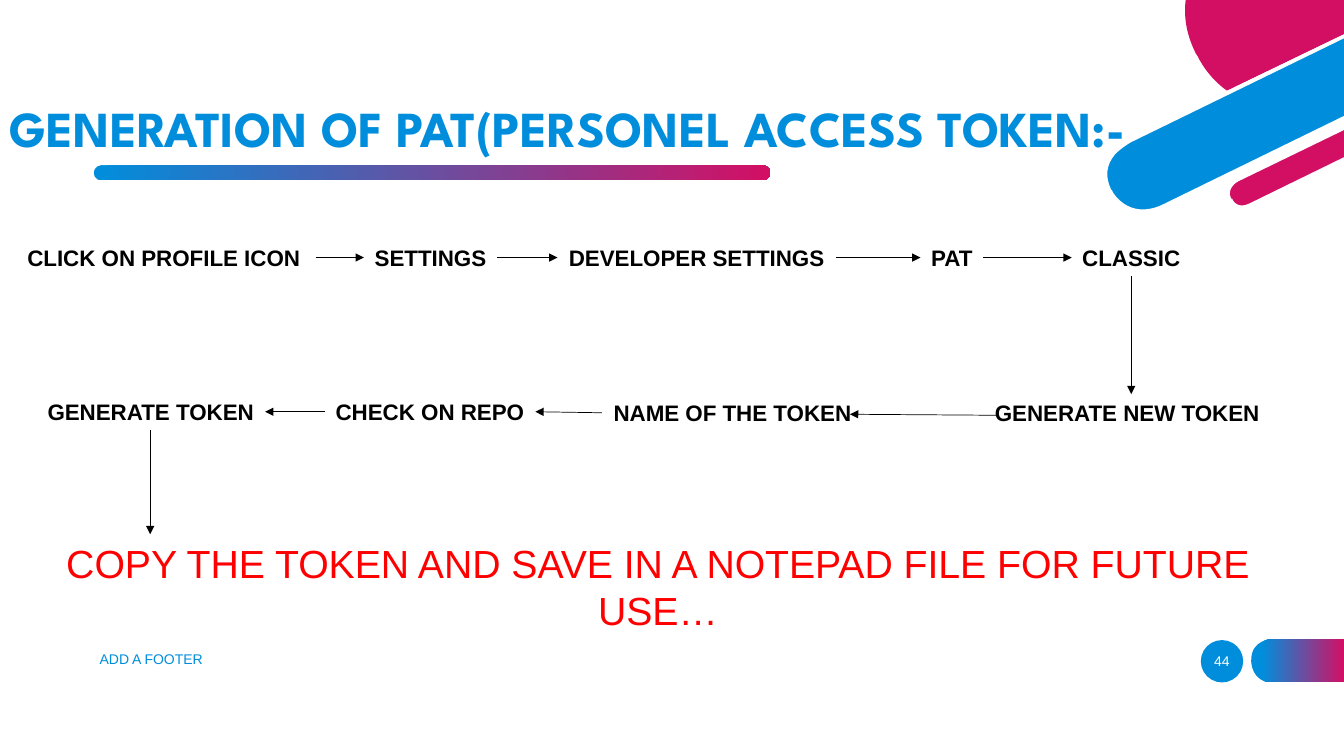
from dataclasses import dataclass

from lxml import etree
from pptx import Presentation
from pptx.dml.color import RGBColor
from pptx.enum.shapes import MSO_CONNECTOR, MSO_SHAPE
from pptx.enum.text import MSO_ANCHOR, MSO_AUTO_SIZE, PP_ALIGN
from pptx.oxml.ns import qn
from pptx.util import Inches, Pt

ELLIPSE = MSO_SHAPE.OVAL
ROUNDED = MSO_SHAPE.ROUNDED_RECTANGLE
STRAIGHT = MSO_CONNECTOR.STRAIGHT
MIDDLE, TOP_ANCHOR = MSO_ANCHOR.MIDDLE, MSO_ANCHOR.TOP
GROW, FIXED = MSO_AUTO_SIZE.SHAPE_TO_FIT_TEXT, MSO_AUTO_SIZE.NONE
LEFT, CENTER = PP_ALIGN.LEFT, PP_ALIGN.CENTER
SIDE_LEFT, SIDE_BOTTOM, SIDE_RIGHT = 1, 2, 3

SLIDE_WIDTH, SLIDE_HEIGHT = Inches(40 / 3), Inches(7.5)
COLUMNS, ROWS = 13.33, 7.5
STEP_HEIGHT = 0.37
UPPER_ROW, LOWER_ROW, CLOSING_ROW = 2.37, 3.9, 5.3


@dataclass(frozen=True)
class Theme:
    """Colours, fonts and type sizes of the slide."""

    blue: RGBColor = RGBColor(0x00, 0x8E, 0xDC)
    pink: RGBColor = RGBColor(0xD3, 0x0F, 0x64)
    white: RGBColor = RGBColor(0xFF, 0xFF, 0xFF)
    black: RGBColor = RGBColor(0x00, 0x00, 0x00)
    red: RGBColor = RGBColor(0xFF, 0x00, 0x00)
    title_font: str = "League Spartan"
    body_font: str = "Arial"
    title_size: int = 36
    closing_size: int = 28
    step_size: int = 16
    footer_size: int = 10
    arrow_width: float = 0.5


THEME = Theme()
GRADIENT = ((0, THEME.blue), (1, THEME.pink))
TAG_GRADIENT = ((0.12, THEME.blue), (1, THEME.pink))

TAG = [(12.62, 6.77), (13.33, 6.77), (13.33, 6.34), (12.62, 6.34),
       (12.62, 6.34, 12.41, 6.34, 12.41, 6.55), (12.41, 6.56),
       (12.41, 6.56, 12.41, 6.77, 12.62, 6.77)]
CORNER = [
    (THEME.white, [
        (13.33, 0.81), (13.06, 0.94), (12.74, 1.1, 12.44, 1.08, 12.19, 0.89),
        (11.99, 0.74, 11.89, 0.55, 11.89, 0.55), (11.88, 0.52),
        (11.79, 0.34, 11.75, 0.16, 11.78, 0), (11.74, 0),
        (11.71, 0.17, 11.75, 0.35, 11.84, 0.54), (11.86, 0.57),
        (11.86, 0.58, 11.96, 0.77, 12.16, 0.92),
        (12.28, 1.01, 12.44, 1.09, 12.65, 1.09),
        (12.77, 1.09, 12.91, 1.06, 13.08, 0.98), (13.33, 0.86)]),
    (THEME.blue, [
        (11.21, 1.39), (11.21, 1.39, 10.85, 1.57, 11.01, 1.89), (11.01, 1.9),
        (11.01, 1.9, 11.17, 2.22, 11.54, 2.04), (13.33, 1.17), (13.33, 0.36)]),
    (THEME.pink, [
        (11.88, 0.56), (11.88, 0.56, 11.97, 0.76, 12.17, 0.9), (13.33, 0.34),
        (13.33, 0), (11.76, 0), (11.74, 0.15, 11.76, 0.33, 11.86, 0.53)]),
    (THEME.pink, [
        (13.33, 1.26), (12.27, 1.78), (12.27, 1.78, 12.13, 1.85, 12.2, 1.97),
        (12.2, 1.98), (12.2, 1.98, 12.26, 2.11, 12.4, 2.04), (13.33, 1.58)]),
    (THEME.white, [
        (12.39, 2.02), (12.27, 2.08, 12.22, 1.98, 12.22, 1.97), (12.21, 1.97),
        (12.16, 1.86, 12.28, 1.8, 12.28, 1.8), (13.33, 1.29), (13.33, 1.24),
        (12.26, 1.76), (12.26, 1.76, 12.19, 1.8, 12.17, 1.87),
        (12.15, 1.91, 12.16, 1.95, 12.18, 1.99),
        (12.2, 2.03, 12.25, 2.08, 12.32, 2.08),
        (12.35, 2.08, 12.38, 2.08, 12.41, 2.06), (13.33, 1.61), (13.33, 1.56)]),
    (THEME.white, [
        (11.53, 2.03), (11.19, 2.19, 11.03, 1.9, 11.03, 1.89), (11.02, 1.88),
        (10.96, 1.75, 10.97, 1.64, 11.06, 1.53),
        (11.13, 1.46, 11.22, 1.41, 11.22, 1.41), (13.33, 0.38), (13.33, 0.34),
        (11.2, 1.37), (11.19, 1.38, 11.02, 1.46, 10.96, 1.63),
        (10.93, 1.71, 10.94, 1.8, 10.99, 1.9), (10.99, 1.91),
        (10.99, 1.91, 11.1, 2.12, 11.33, 2.12),
        (11.39, 2.12, 11.46, 2.1, 11.54, 2.06), (13.33, 1.19), (13.33, 1.15)]),
]
UPPER_STEPS = [("CLICK ON PROFILE ICON", 0.12, 3.01), ("SETTINGS", 3.61, 1.32),
               ("DEVELOPER SETTINGS", 5.53, 2.76), ("PAT", 9.13, 0.62),
               ("CLASSIC", 10.63, 1.18)]
LOWER_STEPS = [("GENERATE NEW TOKEN", 9.75, 2.86), ("NAME OF THE TOKEN", 5.97, 2.59),
               ("CHECK ON REPO", 3.22, 2.09), ("GENERATE TOKEN", 0.36, 2.27)]


def across(columns):
    """Turn grid columns into a length."""
    return round(SLIDE_WIDTH * columns / COLUMNS)


def down(rows):
    """Turn grid rows into a length."""
    return round(SLIDE_HEIGHT * rows / ROWS)


def place(left, top, width, height):
    """Turn a grid area into four lengths."""
    return across(left), down(top), across(width), down(height)


def set_attributes(target, values):
    """Set every attribute named in the dict."""
    for name, value in values.items():
        setattr(target, name, value)


def paint(fill, colour):
    """Fill with one colour or with a left-to-right gradient."""
    if isinstance(colour, RGBColor):
        fill.solid()
        fill.fore_color.rgb = colour
        return
    fill.gradient()
    fill.gradient_angle = 0
    for stop, (position, stop_colour) in zip(fill.gradient_stops, colour):
        stop.position = position
        stop.color.rgb = stop_colour


def finish(shape, colour):
    """Paint a shape and take off its line and shadow."""
    shape.shadow.inherit = False
    paint(shape.fill, colour)
    shape.line.fill.background()


def add_preset(slide, kind, area, colour):
    """Add a preset shape on the grid."""
    shape = slide.shapes.add_shape(kind, *place(*area))
    finish(shape, colour)
    return shape


def add_outline(shapes, outline, colour):
    """Add a closed freeform of straight lines and cubic curves."""
    ends = [(across(segment[-2]), down(segment[-1])) for segment in outline]
    builder = shapes.build_freeform(*ends[0])
    builder.add_line_segments(ends[1:], close=True)
    shape = builder.convert_to_shape()
    lines = list(shape._element.iter(qn("a:lnTo")))
    for line, segment in zip(lines, outline[1:]):
        if len(segment) == 6:
            line.tag = qn("a:cubicBezTo")
            for index in (0, 1):
                x, y = segment[2 * index:2 * index + 2]
                control = etree.Element(qn("a:pt"), x=str(across(x) - shape.left),
                                        y=str(down(y) - shape.top))
                line.insert(index, control)
    finish(shape, colour)


def add_text(slide, text, area, size, colour, font=THEME.body_font, bold=False,
             frame=None, paragraph_format=None):
    """Add a text box with one formatted paragraph."""
    shape = slide.shapes.add_textbox(*place(*area))
    set_attributes(shape.text_frame, {"word_wrap": True, "auto_size": FIXED,
                                      "vertical_anchor": MIDDLE, **(frame or {})})
    paragraph = shape.text_frame.paragraphs[0]
    set_attributes(paragraph, {"alignment": LEFT, **(paragraph_format or {})})
    run = paragraph.add_run()
    run.text = text
    set_attributes(run.font, {"name": font, "size": Pt(size), "bold": bold})
    paint(run.font.fill, colour)
    return shape


def add_step(slide, text, left, top, width, wrap):
    """Add one step of the flow."""
    return add_text(slide, text, (left, top, width, STEP_HEIGHT), THEME.step_size,
                    THEME.black, bold=True, paragraph_format={"alignment": CENTER},
                    frame={"word_wrap": wrap, "auto_size": GROW, "vertical_anchor": TOP_ANCHOR})


def add_arrow(slide, start, end, source=None, target=None):
    """Add an arrow, joined to (shape, side) pairs where given."""
    connector = slide.shapes.add_connector(STRAIGHT, across(start[0]), down(start[1]),
                                           across(end[0]), down(end[1]))
    if source:
        connector.begin_connect(*source)
    if target:
        connector.end_connect(*target)
    connector.line.width = Pt(THEME.arrow_width)
    paint(connector.line.fill, THEME.black)
    tail = etree.SubElement(connector.line._get_or_add_ln(), qn("a:tailEnd"))
    tail.set("type", "triangle")
    etree.SubElement(connector._element.spPr, qn("a:effectLst"))


def add_flow(slide):
    """Add both rows of steps and the arrows between them."""
    upper = [add_step(slide, text, left, UPPER_ROW, width, index == 0)
             for index, (text, left, width) in enumerate(UPPER_STEPS)]
    lower = [add_step(slide, text, left, LOWER_ROW + (0.01 if index < 2 else 0), width, False)
             for index, (text, left, width) in enumerate(LOWER_STEPS)]
    origin = (0, 0)
    for source, target in zip(upper, upper[1:]):
        add_arrow(slide, origin, origin, (source, SIDE_RIGHT), (target, SIDE_LEFT))
    add_arrow(slide, origin, (11.22, 3.91), (upper[-1], SIDE_BOTTOM))
    add_arrow(slide, (9.88, 4.12), (8.43, 4.11))
    for source, target in zip(lower[1:], lower[2:]):
        add_arrow(slide, origin, origin, (source, SIDE_LEFT), (target, SIDE_RIGHT))
    add_arrow(slide, (1.49, 4.27), (1.49, CLOSING_ROW))


def main():
    """Build the slide and save it."""
    presentation = Presentation()
    set_attributes(presentation, {"slide_width": SLIDE_WIDTH, "slide_height": SLIDE_HEIGHT})
    slide = presentation.slides.add_slide(presentation.slide_layouts[6])
    centred = {"alignment": CENTER}
    add_preset(slide, ELLIPSE, (11.91, 6.35, 0.42, 0.42), THEME.blue)
    add_outline(slide.shapes, TAG, TAG_GRADIENT)
    corner = slide.shapes.add_group_shape()
    for colour, outline in CORNER:
        add_outline(corner.shapes, outline, colour)
    underline = add_preset(slide, ROUNDED, (0.93, 1.64, 6.71, 0.15), GRADIENT)
    underline.adjustments[0] = 0.5
    add_text(slide, "ADD A FOOTER", (0.89, 6.34, 4.5, 0.4), THEME.footer_size, THEME.blue)
    add_text(slide, "44", (11.82, 6.36, 0.6, 0.4), THEME.footer_size, THEME.white,
             paragraph_format=centred)
    add_text(slide, "GENERATION OF PAT(PERSONEL ACCESS TOKEN:-", (0, 0.79, 11.94, 1.03),
             THEME.title_size, GRADIENT, THEME.title_font, True,
             paragraph_format={"line_spacing": 0.9})
    add_flow(slide)
    add_text(slide, "COPY THE TOKEN AND SAVE IN A NOTEPAD FILE FOR FUTURE USE…",
             (0.36, CLOSING_ROW, 12.33, 1.04), THEME.closing_size, THEME.red,
             frame={"auto_size": GROW, "vertical_anchor": TOP_ANCHOR}, paragraph_format=centred)
    presentation.save("out.pptx")


if __name__ == "__main__":
    main()
